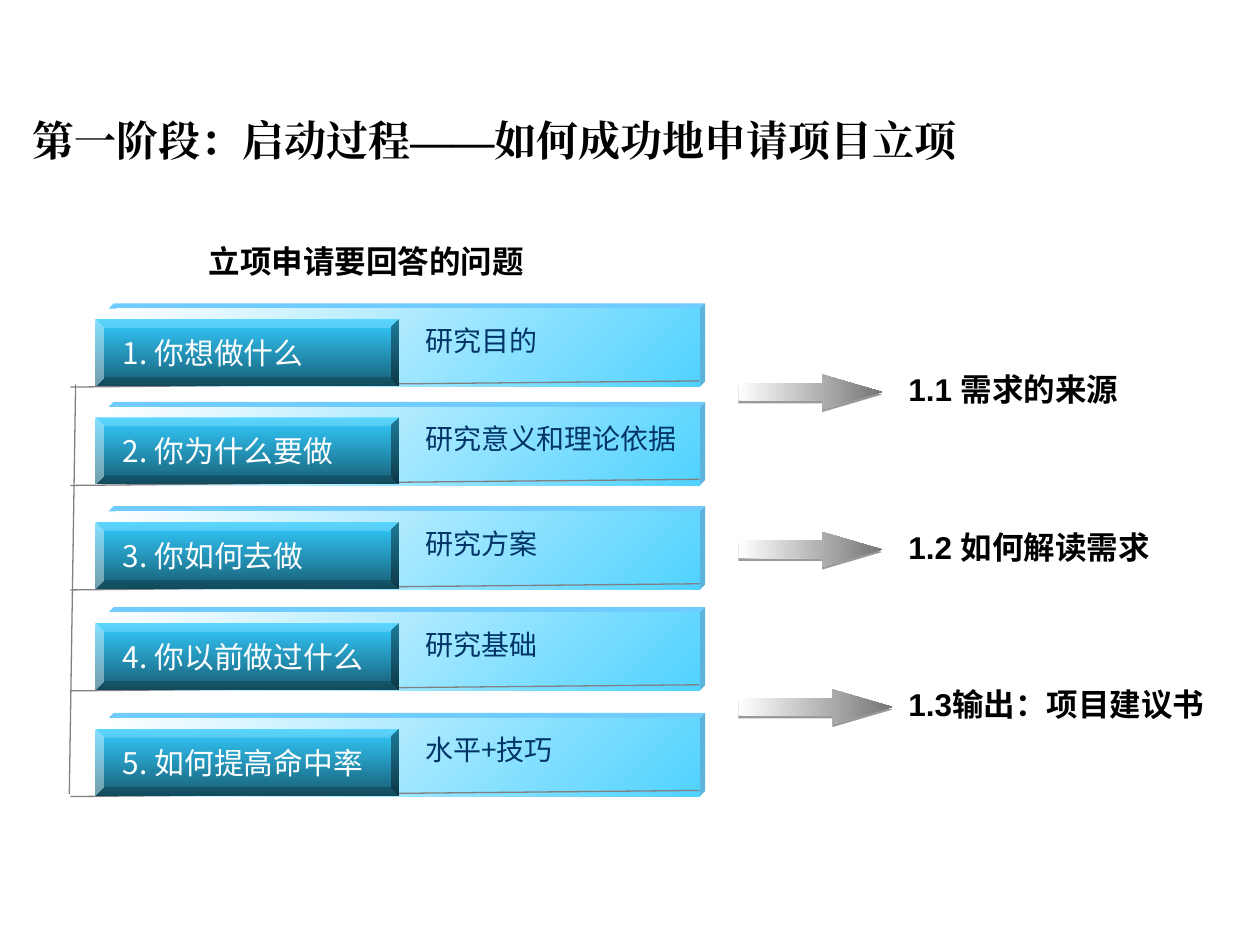
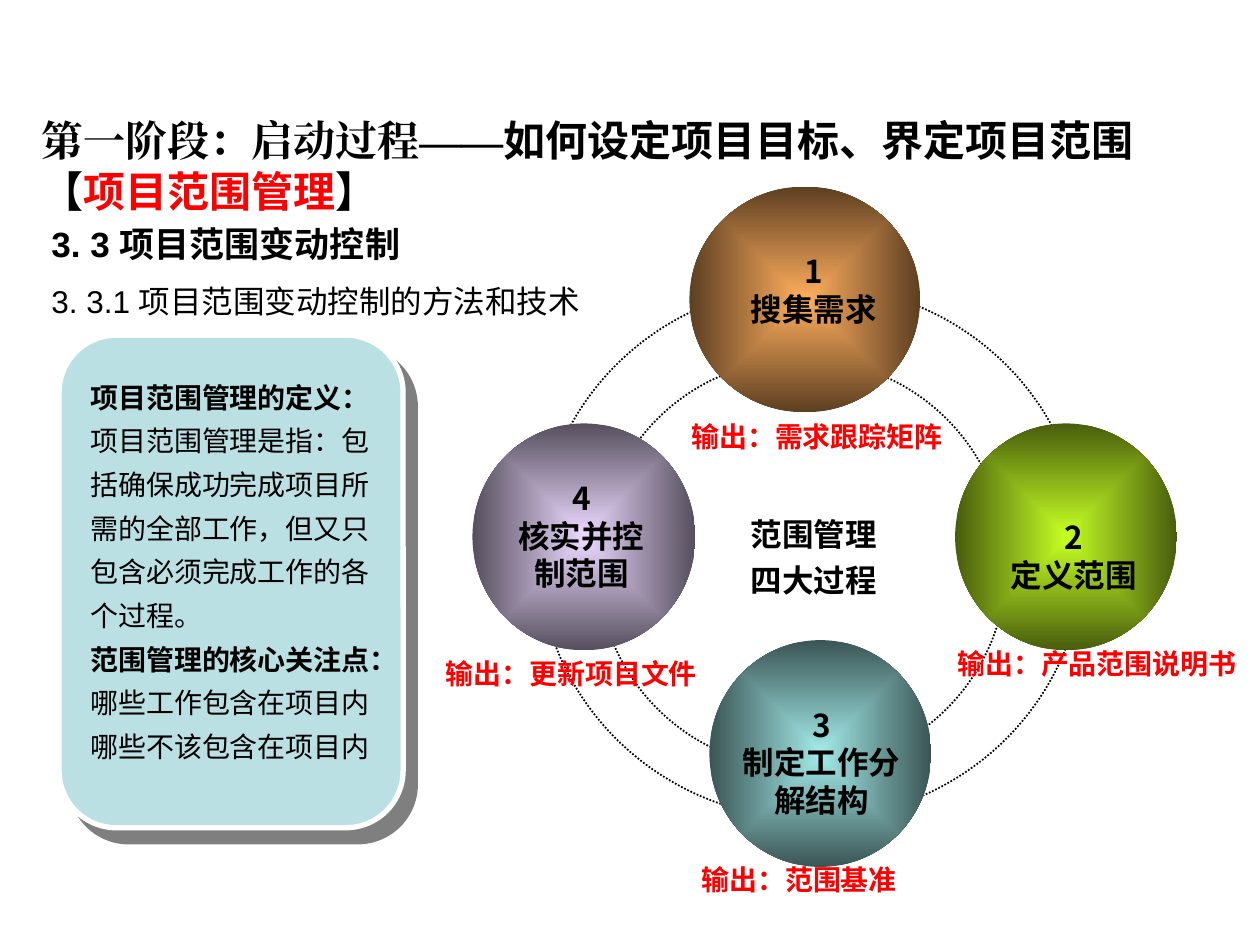
from pptx import Presentation
from pptx.dml.color import RGBColor
from pptx.enum import dml, shapes, text
from pptx.oxml import ns, xmlchemy
from pptx.util import Pt

BLACK = RGBColor(0x00, 0x00, 0x00)
WHITE = RGBColor(0xFF, 0xFF, 0xFF)
RED = RGBColor(0xFF, 0x00, 0x00)
NAVY = RGBColor(0x00, 0x33, 0x66)
GREY = RGBColor(0x80, 0x80, 0x80)
ARROW_GREY = RGBColor(0x75, 0x75, 0x75)
ARROW_EDGE = RGBColor(0x9A, 0x9A, 0x9A)
SKY = RGBColor(0x33, 0xCC, 0xFF)
DEEP_SKY = RGBColor(0x17, 0x5E, 0x75)
BAR_BLUE = RGBColor(0x50, 0xD2, 0xFF)
BAR_TOP = RGBColor(0x70, 0xCC, 0xFF)
BAR_SIDE = RGBColor(0x5C, 0xB4, 0xDC)
PALE_TEAL = RGBColor(0xBB, 0xE0, 0xE3)
ORANGE = RGBColor(0xFF, 0xAE, 0x5D), RGBColor(0x5D, 0x3F, 0x22)
GREEN = RGBColor(0xC5, 0xFF, 0x23), RGBColor(0x48, 0x5D, 0x0D)
TEAL = RGBColor(0xA2, 0xEA, 0xE8), RGBColor(0x3B, 0x55, 0x55)
VIOLET = RGBColor(0xEC, 0xD9, 0xFF), RGBColor(0x56, 0x4F, 0x5D)

SANS, LATIN, SERIF = "Noto Sans CJK SC", "Arial", "Times New Roman"
SHAPE = shapes.MSO_SHAPE
LEFT, CENTER = text.PP_ALIGN.LEFT, text.PP_ALIGN.CENTER
TOP, MIDDLE = text.MSO_ANCHOR.TOP, text.MSO_ANCHOR.MIDDLE


def points(box):
    return [Pt(length) for length in box]


def add_xml(parent, tag, **attributes):
    child = xmlchemy.OxmlElement(tag)
    for name, value in attributes.items():
        child.set(name, str(value))
    parent.append(child)
    return child


def add_span(para, words, font, size, colour=BLACK, bold=False):
    span = para.add_run()
    span.text = words
    span.font.name, span.font.size = font, Pt(size)
    span.font.bold, span.font.color.rgb = bold, colour
    add_xml(span.font._element, "a:ea", typeface=font)


def write(frame, paras, align=LEFT, anchor=TOP, spacing=None):
    """Fill a frame; each paragraph is a list of argument tuples for add_span."""
    frame.word_wrap = True
    frame.vertical_anchor = anchor
    for index, spans in enumerate(paras):
        para = frame.add_paragraph() if index else frame.paragraphs[0]
        para.alignment = align
        if spacing:
            para.line_spacing = spacing
        for span in spans:
            add_span(para, *span)


def add_text(page, box, paras, **layout):
    write(page.shapes.add_textbox(*points(box)).text_frame, paras, **layout)


def add_title(page, left, width, *spans):
    add_text(page, (left, 62, width, 39.6), [spans])


def paint(shape, colour=None):
    shape.shadow.inherit = False
    shape.line.fill.background()
    if colour is None:
        shape.fill.background()
    else:
        shape.fill.solid()
        shape.fill.fore_color.rgb = colour


def paint_gradient(shape, first, last, angle=None):
    """Blend two colours along a clockwise angle, or outwards from the centre."""
    paint(shape)
    shape.fill.gradient()
    for stop, colour in zip(shape.fill.gradient_stops, (first, last)):
        stop.color.rgb = colour
    gradient = shape._element.spPr.find(ns.qn("a:gradFill"))
    direction = gradient.find(ns.qn("a:lin"))
    if angle is not None:
        direction.set("ang", str(angle * 60000))
        return
    gradient.remove(direction)
    centre = add_xml(gradient, "a:path", path="shape")
    add_xml(centre, "a:fillToRect", l=50000, t=50000, r=50000, b=50000)


def add_shape(page, kind, box):
    return page.shapes.add_shape(kind, *points(box))


def add_line(page, *ends):
    line = page.shapes.add_connector(shapes.MSO_CONNECTOR.STRAIGHT, *points(ends))
    line.line.color.rgb, line.line.width = GREY, Pt(0.75)
    add_xml(line._element.spPr, "a:effectLst")


def add_face(page, corners, colour):
    start, *rest = [points(corner) for corner in corners]
    builder = page.shapes.build_freeform(*start)
    builder.add_line_segments(rest)
    paint(builder.convert_to_shape(), colour)


def add_raised_bar(page, left, top, width, height, depth=3):
    right, bottom = left + width, top + height
    add_face(page, [(left, top), (left + depth, top - depth),
                    (right + depth, top - depth), (right, top)], BAR_TOP)
    add_face(page, [(right, top), (right + depth, top - depth),
                    (right + depth, bottom - depth), (right, bottom)], BAR_SIDE)
    bar = add_shape(page, SHAPE.RECTANGLE, (left, top, width, height))
    paint_gradient(bar, WHITE, BAR_BLUE, 45)


def add_question(page, left, top, question, topic):
    add_raised_bar(page, left, top, 338, 44.6)
    base = top + 44.8
    add_line(page, left - 21.7, base, left + 337.6, base - 3.5)
    bevel = add_shape(page, SHAPE.BEVEL, (left - 7.5, top + 6, 173.5, 38.2))
    bevel.adjustments[0] = 0.125
    paint_gradient(bevel, SKY, DEEP_SKY, 90)
    write(bevel.text_frame, [[(question, SANS, 17, WHITE)]], anchor=MIDDLE)
    bevel.text_frame.margin_left, bevel.text_frame.margin_right = Pt(11), 0
    add_text(page, (left + 174, top - 1.5, 164, 39),
             [[(topic, SANS, 16, NAVY)]], anchor=MIDDLE)


def add_step(page, left, top, width, label):
    for drop in (1.5, 0):
        arrow = add_shape(page, SHAPE.RIGHT_ARROW, (left, top + drop, width, 20))
        arrow.adjustments[0], arrow.adjustments[1] = 0.5, 1.71
        if drop:
            paint(arrow, ARROW_EDGE)
        else:
            paint_gradient(arrow, WHITE, ARROW_GREY, 0)
    add_text(page, (left + 90, top - 6, 186, 29), [[(label, LATIN, 18, BLACK, True)]])


def build_application_page(page):
    add_title(page, 11.5, 648,
              ("第一阶段：启动过程——如何成功地申请项目立项", SERIF, 24, BLACK, True))
    add_text(page, (112.3, 134.6, 208, 29),
             [[("立项申请要回答的问题", LATIN, 18, BLACK, True)]])
    questions = [
        (176.4, "1. 你想做什么", "研究目的"),
        (232.6, "2. 你为什么要做", "研究意义和理论依据"),
        (292.3, "3. 你如何去做", "研究方案"),
        (350, "4. 你以前做过什么", "研究基础"),
        (410.4, "5. 如何提高命中率", "水平+技巧"),
    ]
    for top, question, topic in questions:
        add_question(page, 62, top, question, topic)
    add_line(page, 43.2, 219.6, 39.6, 453.6)
    steps = [(82, "1.1 需求的来源"), (82, "1.2 如何解读需求"), (88, "1.3输出：项目建议书")]
    for index, (width, label) in enumerate(steps):
        add_step(page, 422, 214 + 90 * index, width, label)


def add_ring(page, box):
    ring = add_shape(page, SHAPE.OVAL, box)
    paint(ring)
    ring.line.color.rgb, ring.line.width = BLACK, Pt(1)
    ring.line.dash_style = dml.MSO_LINE.ROUND_DOT


def add_process(page, ball_box, colours, name_box, lines, output_box, output):
    paint_gradient(add_shape(page, SHAPE.OVAL, ball_box), *colours)
    add_text(page, name_box, [[(line, SANS, 18, BLACK, True)] for line in lines],
             align=CENTER)
    add_text(page, output_box, [[("输出：" + output, SANS, 16, RED, True)]])


def add_definition_card(page, left, top, width, height):
    card = add_shape(page, SHAPE.ROUNDED_RECTANGLE, (left, top, width, height))
    paint(card, PALE_TEAL)
    card.line.color.rgb, card.line.width = WHITE, Pt(3)
    effects = card._element.spPr.find(ns.qn("a:effectLst"))
    shadow = add_xml(effects, "a:outerShdw", dist=Pt(10.6), dir=49 * 60000,
                     algn="ctr", rotWithShape=0)
    add_xml(add_xml(shadow, "a:srgbClr", val=BLACK), "a:alpha", val=50000)
    lines = [
        ("项目范围管理的定义：", True),
        ("项目范围管理是指：包括确保成功完成项目所需的全部工作，"
         "但又只包含必须完成工作的各个过程。", False),
        ("范围管理的核心关注点：", True),
        ("哪些工作包含在项目内", False),
        ("哪些不该包含在项目内", False),
    ]
    add_text(page, (left + 10.8, top + 16.5, width - 18, height - 47.5),
             [[(line, SANS, 16, BLACK, bold)] for line, bold in lines], spacing=1.3)


def build_scope_page(page):
    add_ring(page, (341.3, 205.2, 234, 234))
    add_ring(page, (307.5, 162.7, 312, 305.3))
    add_title(page, 16.5, 680.4,
              ("第一阶段：启动过程——", SERIF, 24, BLACK, True),
              ("如何设定项目目标、界定项目范围【", LATIN, 24, BLACK, True),
              ("项目范围管理", LATIN, 24, RED, True),
              ("】", LATIN, 24, BLACK, True))
    add_text(page, (22.3, 123.8, 343, 31.7),
             [[("3. 3 项目范围变动控制", LATIN, 20, BLACK, True)]])
    add_text(page, (22.3, 157.7, 354, 29),
             [[("3. 3.1 项目范围变动控制的方法和技术", LATIN, 18)]])
    add_text(page, (422, 286.6, 96, 60),
             [[(line, SANS, 18, BLACK, True)] for line in ("范围管理", "四大过程")],
             spacing=1.2)
    processes = [
        ((394, 106.6, 131.8, 129), ORANGE, (405.4, 140.4, 119, 51),
         ("1", "搜集需求"), (388, 236.2, 168.5, 26.6), "需求跟踪矩阵"),
        ((545.8, 242, 126.7, 129.6), GREEN, (556.6, 292.3, 113.8, 51),
         ("2", "定义范围"), (540, 365.8, 180, 26.6), "产品范围说明书"),
        ((405.4, 365.8, 126.7, 129.6), TEAL, (416.2, 399.6, 106.6, 72.7),
         ("3", "制定工作分解结构"), (393.8, 489.6, 146.2, 26.6), "范围基准"),
        ((270, 242, 127.4, 129.6), VIOLET, (281.5, 270, 101.5, 72.7),
         ("4", "核实并控制范围"), (247.7, 371.5, 163.4, 26.6), "更新项目文件"),
    ]
    for process in processes:
        add_process(page, *process)
    add_definition_card(page, 33.8, 191.5, 196.6, 281.5)


def main():
    deck = Presentation()
    deck.slide_width, deck.slide_height = Pt(720), Pt(540)
    for build in (build_application_page, build_scope_page):
        build(deck.slides.add_slide(deck.slide_layouts[6]))
    deck.save("out.pptx")


if __name__ == "__main__":
    main()
